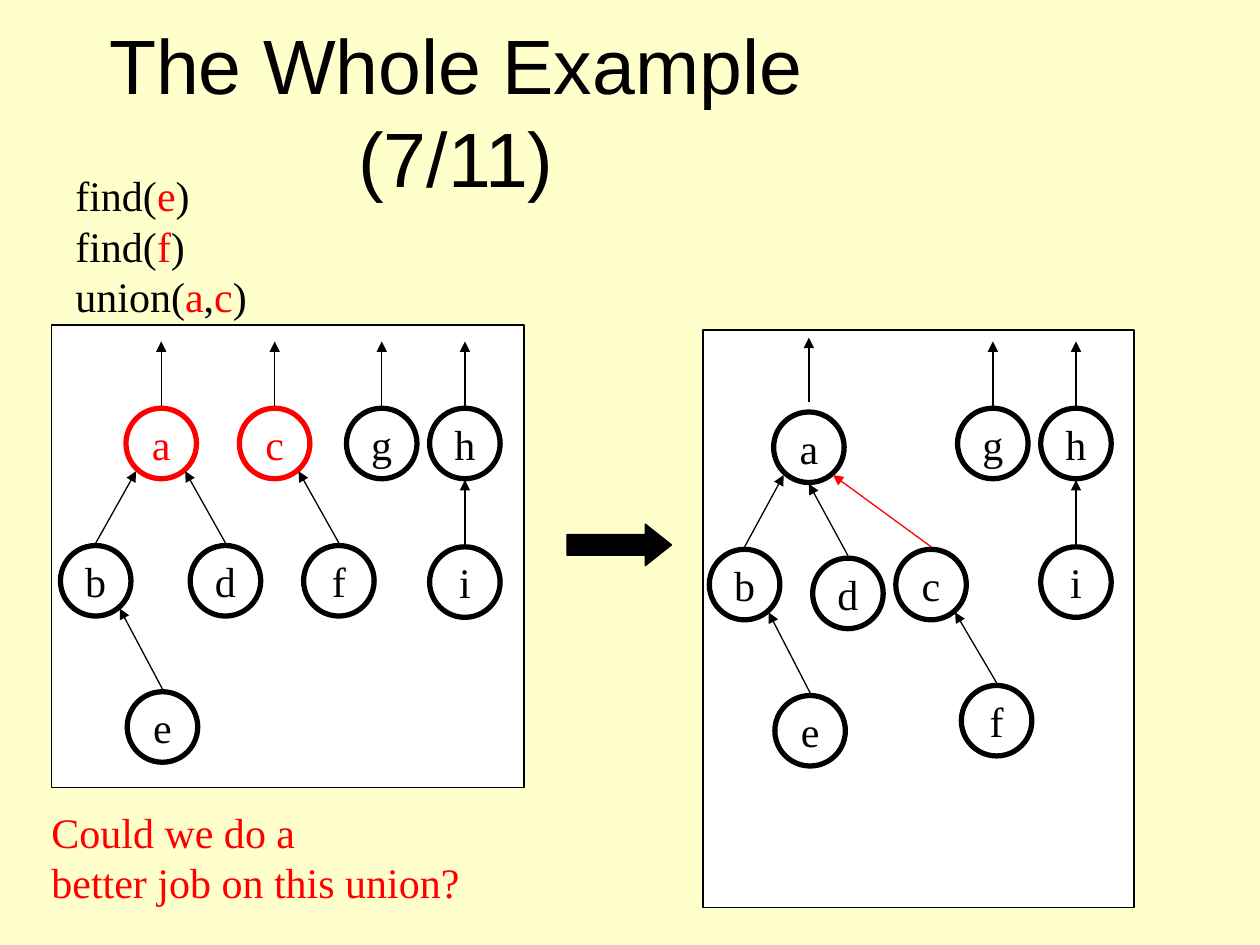
from dataclasses import dataclass
from pptx import Presentation
from pptx.dml.color import RGBColor as Rgb
from pptx.enum.shapes import MSO_CONNECTOR as Link, MSO_SHAPE as Kind
from pptx.enum.text import MSO_ANCHOR as Anchor, MSO_AUTO_SIZE as Fit, PP_ALIGN as Align
from pptx.oxml.ns import qn
from pptx.util import Inches, Pt


@dataclass(frozen=True)
class Theme:
    paper: Rgb = Rgb(0xFF, 0xFF, 0xCC)
    white: Rgb = Rgb(0xFF, 0xFF, 0xFF)
    ink: Rgb = Rgb(0, 0, 0)
    red: Rgb = Rgb(0xFF, 0, 0)
    head: str = "Arial"
    body: str = "Times New Roman"
    big: int = 44
    size: int = 24
    thin: float = 0.75
    thick: float = 3


THEME = Theme()
DIAM = 0.56
MID = DIAM / 2
GAP = 0.02
ENDS = {"left": (0.08, 0.5), "right": (0.47, 0.5), "under": (MID, 0.57)}

BEFORE = {
    "a": (1.0, 3.24, None, None),
    "c": (1.9, 3.24, None, None),
    "g": (2.75, 3.24, None, None),
    "h": (3.41, 3.24, None, None),
    "b": (0.48, 4.33, "a", "left"),
    "d": (1.51, 4.33, "a", "right"),
    "f": (2.41, 4.33, "c", "right"),
    "i": (3.41, 4.34, "h", "under"),
    "e": (1.01, 5.49, "b", "right"),
}
AFTER = {
    "a": (6.14, 3.27, None, None),
    "g": (7.6, 3.24, None, None),
    "h": (8.26, 3.24, None, None),
    "b": (5.63, 4.36, "a", "left"),
    "d": (6.45, 4.43, "a", "under"),
    "c": (7.11, 4.36, "a", "right"),
    "i": (8.26, 4.34, "h", "under"),
    "f": (7.63, 5.44, "c", "right"),
    "e": (6.15, 5.52, "b", "right"),
}


def write(frame, text, *, font=THEME.body, size=THEME.size, color=THEME.ink,
          accent=THEME.red, align=Align.LEFT, anchor=Anchor.TOP, wrap=False):
    frame.auto_size = Fit.NONE
    frame.word_wrap = wrap
    frame.vertical_anchor = anchor
    for num, line in enumerate(text.split("\n")):
        para = frame.add_paragraph() if num else frame.paragraphs[0]
        para.alignment = align
        for odd, part in enumerate(line.split("|")):
            run = para.add_run()
            run.text = part
            run.font.name = font
            run.font.size = Pt(size)
            run.font.color.rgb = accent if odd % 2 else color


def place(item, left, top, width, height):
    item.left, item.top = Inches(left), Inches(top)
    item.width, item.height = Inches(width), Inches(height)


def label(slide, box, text, **style):
    item = slide.shapes.add_textbox(*map(Inches, box))
    write(item.text_frame, text, **style)


def shape(slide, kind, box, *, fill=None, line=THEME.ink, width=THEME.thin):
    item = slide.shapes.add_shape(kind, *map(Inches, box))
    item.shadow.inherit = False
    if fill is None:
        item.fill.background()
    else:
        item.fill.solid()
        item.fill.fore_color.rgb = fill
    item.line.color.rgb = line
    item.line.width = Pt(width)
    return item


def arrow(slide, start, end, color):
    item = slide.shapes.add_connector(Link.STRAIGHT, *map(Inches, start + end))
    item.line.color.rgb = color
    item.line.width = Pt(THEME.thin)
    props = item.line._get_or_add_ln()
    props.append(props.makeelement(qn("a:tailEnd"), {"type": "triangle"}))
    outer = props.getparent()
    outer.append(outer.makeelement(qn("a:effectLst"), {}))


def node(slide, name, x, y, color):
    item = shape(slide, Kind.OVAL, (x, y, DIAM, DIAM), line=color, width=THEME.thick)
    write(item.text_frame, name, color=color, align=Align.CENTER, anchor=Anchor.MIDDLE)


def forest(slide, box, nodes, *, marked="", joined="", raised="", lift=0.06):
    shape(slide, Kind.RECTANGLE, box, fill=THEME.white)
    for name, (x, y, above, side) in nodes.items():
        node(slide, name, x, y, THEME.red if name in marked else THEME.ink)
        shift = lift if name in raised else 0
        start = (x + MID, y - GAP - shift)
        if above:
            dx, dy = ENDS[side]
            end = (nodes[above][0] + dx, nodes[above][1] + dy)
        else:
            end = (x + MID, y - 0.53 - shift)
        arrow(slide, start, end, THEME.red if name in joined else THEME.ink)


def main():
    deck = Presentation()
    deck.slide_width, deck.slide_height = Inches(10), Inches(7.5)
    slide = deck.slides.add_slide(deck.slide_layouts[5])
    slide.background.fill.solid()
    slide.background.fill.fore_color.rgb = THEME.paper

    title = slide.shapes.title
    place(title, 0.08, 0.25, 7.08, 1.25)
    write(title.text_frame, "The Whole Example (7/11)", font=THEME.head, size=THEME.big,
          align=Align.CENTER, anchor=Anchor.MIDDLE, wrap=True)

    forest(slide, (0.41, 2.58, 3.75, 3.67), BEFORE, marked="ac")
    step = shape(slide, Kind.RIGHT_ARROW, (4.5, 4.16, 0.83, 0.33), fill=THEME.ink)
    step.adjustments[1] = 0.63
    forest(slide, (5.58, 2.62, 3.42, 4.58), AFTER, joined="c", raised="a")

    label(slide, (0.5, 1.3, 1.56, 1.3), "find(|e|)\nfind(|f|)\nunion(|a|,|c|)")
    label(slide, (0.31, 6.35, 3.44, 0.9), "Could we do a\nbetter job on this union?",
          color=THEME.red)
    deck.save("out.pptx")


if __name__ == "__main__":
    main()
